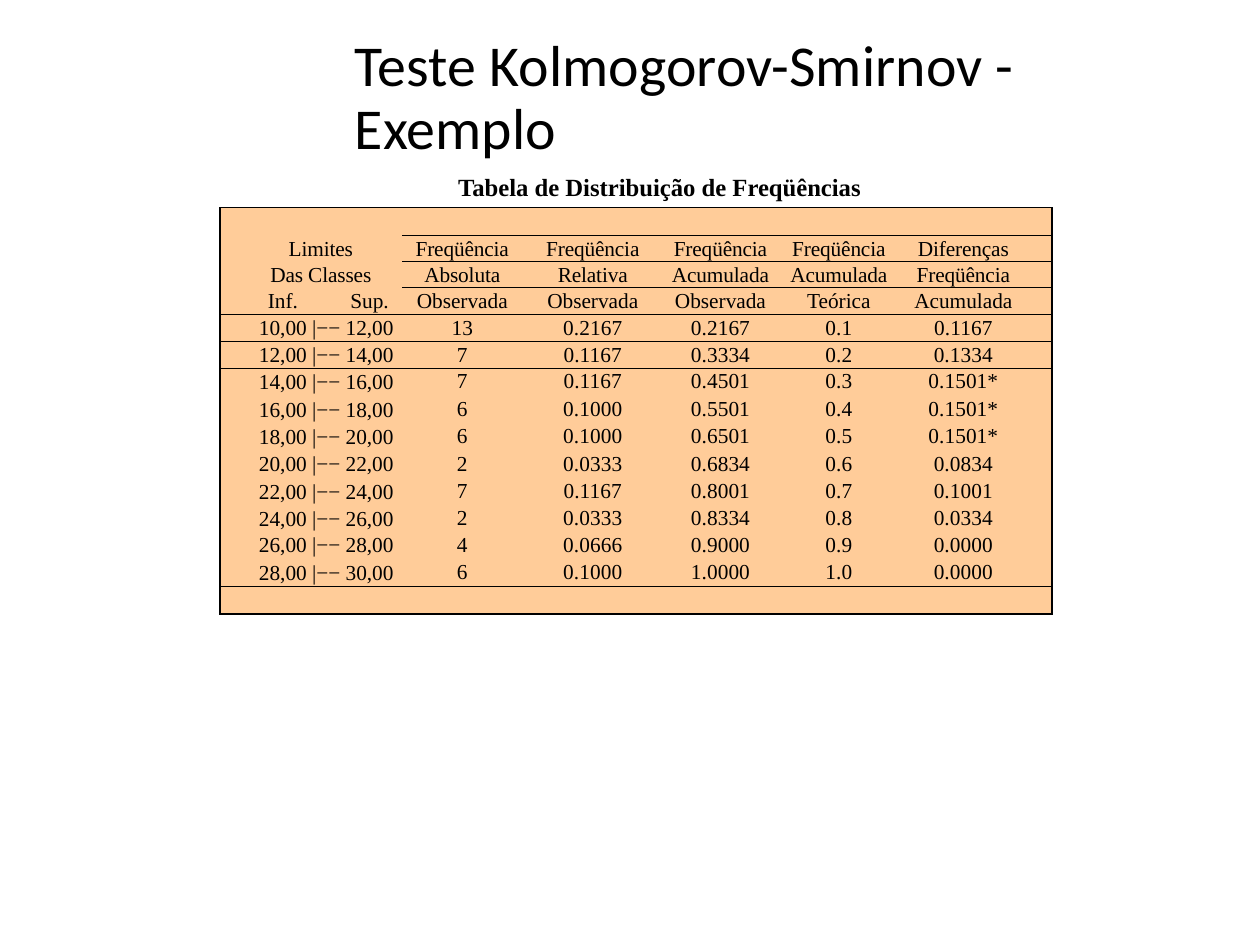
from pptx import Presentation
from pptx.dml.color import RGBColor
from pptx.enum.text import MSO_ANCHOR as Anchor, MSO_AUTO_SIZE as AutoSize, PP_ALIGN as Align
from pptx.oxml.ns import qn
from pptx.util import Inches, Pt
from lxml.etree import SubElement

BLACK = RGBColor(0x00, 0x00, 0x00)
PEACH = RGBColor(0xFF, 0xCC, 0x99)
SERIF = "Times New Roman"
PLAIN_STYLE = "{2D5ABB26-0587-4C30-8999-92F81FD0307C}"


def write(frame, text, size=19, font=SERIF, bold=False, align=Align.LEFT,
          line=None, before=0, spacing=0.0, margins=(0, 0, 0, 0)):
    frame.word_wrap = True
    frame.margin_left, frame.margin_top, frame.margin_right, frame.margin_bottom = map(Inches, margins)
    para = frame.paragraphs[0]
    para.alignment = align
    para.line_spacing = line
    para.space_before = Pt(before)
    span = para.add_run()
    span.text = text
    span.font.size = Pt(size)
    span.font.name = font
    span.font.bold = bold
    span.font.color.rgb = BLACK
    span.font._element.set("spc", str(round(spacing * 100)))
    return para


def draw_border(cell, side, width):
    border = SubElement(cell._tc.get_or_add_tcPr(), qn(f"a:{side}"), w=str(Pt(width)))
    fill = SubElement(border, qn("a:solidFill"))
    SubElement(fill, qn("a:srgbClr"), val=str(BLACK))


deck = Presentation()
deck.slide_width = Inches(15.59)
deck.slide_height = Inches(11.69)
page = deck.slides.add_slide(deck.slide_layouts[5])

title = page.shapes.title
title.left, title.top, title.width, title.height = map(Inches, (4.28, 0.82, 10.92, 0.8))
title.text_frame.auto_size = AutoSize.NONE
title.text_frame.vertical_anchor = Anchor.MIDDLE
write(title.text_frame, "Teste Kolmogorov-Smirnov - Exemplo", size=51.5, font="Calibri",
      line=0.9, before=1.2, spacing=0.1, margins=(0.11, 0.02, 0, 0))

caption = page.shapes.add_textbox(Inches(5.66), Inches(2.12), Inches(5.07), Inches(0.38))
write(caption.text_frame, "Tabela de Distribuição de Freqüências", size=22, bold=True,
      before=1.1, margins=(0.01, 0.01, 0, 0))

headings = [
    ["Limites", "Freqüência", "Freqüência", "Freqüência", "Freqüência", "Diferenças"],
    ["Das Classes", "Absoluta", "Relativa", "Acumulada", "Acumulada", "Freqüência"],
    ["Inf.\tSup.", "Observada", "Observada", "Observada", "Teórica", "Acumulada"],
]
frequencies = [
    ("13", "0.2167", "0.2167", "0.1", "0.1167"),
    ("7", "0.1167", "0.3334", "0.2", "0.1334"),
    ("7", "0.1167", "0.4501", "0.3", "0.1501*"),
    ("6", "0.1000", "0.5501", "0.4", "0.1501*"),
    ("6", "0.1000", "0.6501", "0.5", "0.1501*"),
    ("2", "0.0333", "0.6834", "0.6", "0.0834"),
    ("7", "0.1167", "0.8001", "0.7", "0.1001"),
    ("2", "0.0333", "0.8334", "0.8", "0.0334"),
    ("4", "0.0666", "0.9000", "0.9", "0.0000"),
    ("6", "0.1000", "1.0000", "1.0", "0.0000"),
]
classes = [[f"{low},00 |−− {low + 2},00", *values]
           for low, values in zip(range(10, 30, 2), frequencies)]
rows = [[""] * 6, *headings, *classes, [""] * 6]

column_widths = [2.26, 1.54, 1.6, 1.52, 1.5, 1.88]
row_heights = [0.34, 0.33, 0.32, 0.33, 0.34, 0.33, 0.34, 0.34, 0.34, 0.34,
               0.33, 0.33, 0.34, 0.34, 0.34]
side_margins = [(0.24, 0), (0, 0.06), (0.03, 0), (0.07, 0), (0, 0.02), (0, 0.32)]
rules = {0: 1.5, 1: 1, 2: 1, 4: 1, 5: 1, 14: 1, 15: 1.5}
partial_rules = (1, 2)

frame = page.shapes.add_table(len(rows), len(column_widths), Inches(2.72), Inches(2.57),
                              Inches(sum(column_widths)), Inches(sum(row_heights)))
table = frame.table
table.first_row = False
table.horz_banding = False
table._tbl.tblPr.find(qn("a:tableStyleId")).text = PLAIN_STYLE
for column, width in zip(table.columns, column_widths):
    column.width = Inches(width)
for row, height in zip(table.rows, row_heights):
    row.height = Inches(height)

for r, texts in enumerate(rows):
    for c, text in enumerate(texts):
        cell = table.cell(r, c)
        cell.margin_top = cell.margin_bottom = 0
        if c == 0:
            draw_border(cell, "lnL", 1.5)
        if c == 5:
            draw_border(cell, "lnR", 1.5)
        for side, edge in (("lnT", r), ("lnB", r + 1)):
            if edge in rules and not (c == 0 and edge in partial_rules):
                draw_border(cell, side, rules[edge])
        cell.fill.solid()
        cell.fill.fore_color.rgb = PEACH
        if not text:
            continue
        left, right = side_margins[c]
        align = Align.CENTER
        if c == 0 and r >= 3:
            left, right = 0, 0.17 if r == 3 else 0.11
            align = Align.RIGHT
        cell.margin_left, cell.margin_right = Inches(left), Inches(right)
        para = write(cell.text_frame, text, align=align,
                     line=Pt(22.8 if r in (1, 4) or (c == 0 and r > 4) else 22.2),
                     before=0.4 if c == 0 and r > 3 else 0,
                     spacing=0.1 if r > 3 and c > 1 else -0.1 if r < 3 else 0,
                     margins=(left, 0, right, 0))
        if "\t" in text:
            tabs = SubElement(para._p.get_or_add_pPr(), qn("a:tabLst"))
            SubElement(tabs, qn("a:tab"), pos=str(Inches(1.02)), algn="l")

table.cell(0, 0).merge(table.cell(0, 4))

deck.save("out.pptx")
